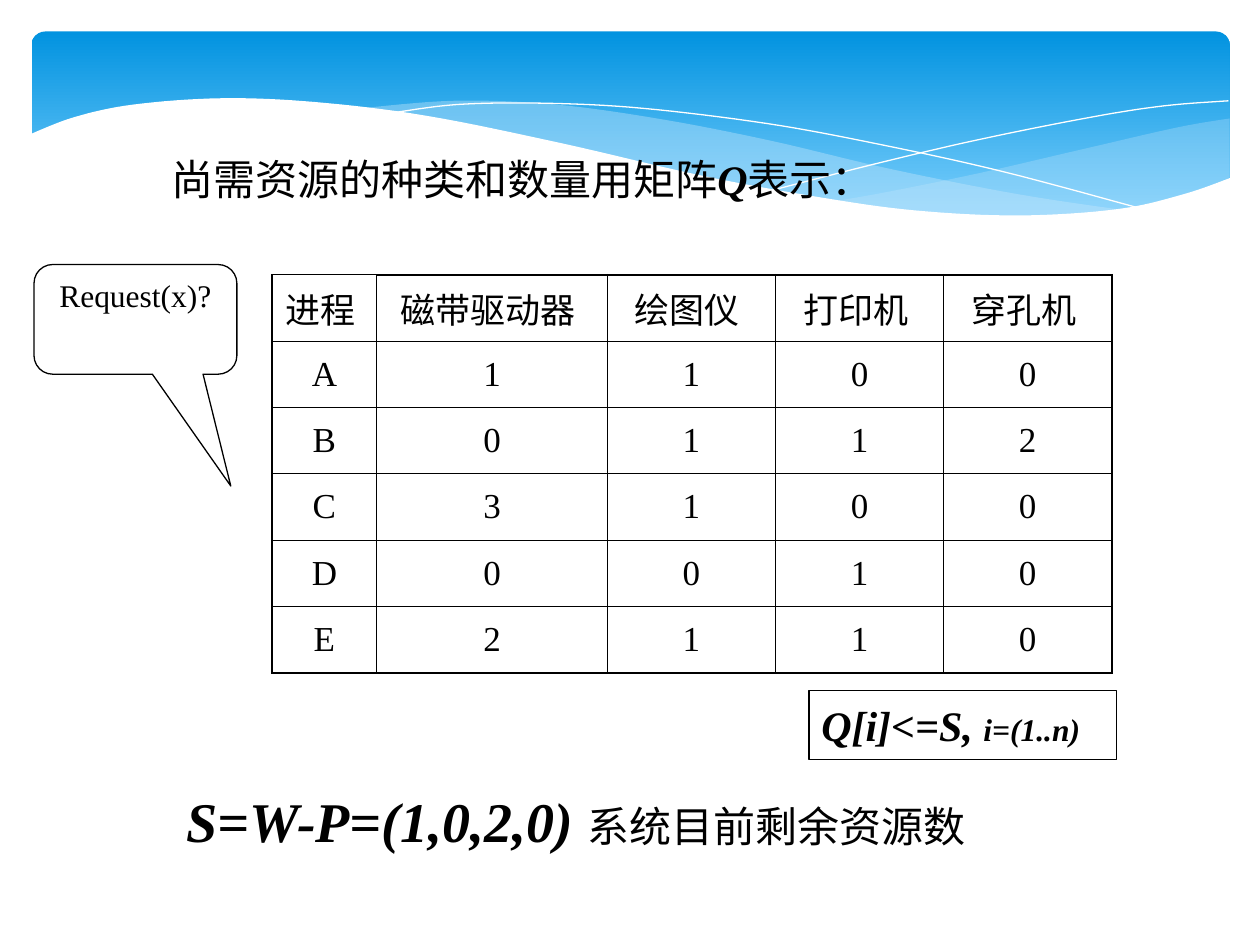
from pptx import Presentation
from pptx.dml.color import RGBColor
from pptx.enum.shapes import MSO_SHAPE
from pptx.enum.text import MSO_ANCHOR, PP_ALIGN
from pptx.oxml.ns import qn
from pptx.util import Inches, Pt
from lxml import etree

BLACK = RGBColor(0x00, 0x00, 0x00)
WHITE = RGBColor(0xFF, 0xFF, 0xFF)
SKY_TOP = RGBColor(0x02, 0x93, 0xE0)
SKY_BOTTOM = RGBColor(0x83, 0xD3, 0xFE)
MIST = RGBColor(0xC6, 0xE7, 0xFC)

ROUNDED, BOX = MSO_SHAPE.ROUNDED_RECTANGLE, MSO_SHAPE.RECTANGLE
CALLOUT = MSO_SHAPE.ROUNDED_RECTANGULAR_CALLOUT
TOP, MIDDLE = MSO_ANCHOR.TOP, MSO_ANCHOR.MIDDLE
LEFT, CENTER = PP_ALIGN.LEFT, PP_ALIGN.CENTER

# The slide is a grid of 100 columns by 75 rows
UNIT = Inches(0.1)
STRONG = {"bold": True, "italic": True}
THIN, THICK = Pt(0.45), Pt(1.08)
CURVE_STEPS = 8

HEADER = ["进程 ", "磁带驱动器 ", "绘图仪 ", "打印机 ", "穿孔机 "]
REMAINING_NEEDS = {
    "A": [1, 1, 0, 0],
    "B": [0, 1, 1, 2],
    "C": [3, 1, 0, 0],
    "D": [0, 0, 1, 0],
    "E": [2, 1, 1, 0],
}

# Wave edges as (column, row) knots
CREST = [(2.3, 10.7), (5.9, 9.3), (10.6, 8.3), (17.6, 7.8), (25, 8.1), (33.9, 9.2),
         (44.7, 11.4), (55.5, 13.9), (64.7, 15.6), (72.6, 16.7), (80.9, 17.1),
         (88.7, 16.6), (94, 15.4), (97.7, 14.1)]
CREST_BASE = [(97.7, 22.4), (2.3, 22.4)]
RIGHT_TOP = [(97.6, 9.4), (93.5, 10.1), (86.1, 11.8), (77.9, 13.7), (70.6, 15.2), (66.1, 16)]
RIGHT_BOTTOM = [(66.1, 16), (70.5, 16.5), (75.7, 17), (81.4, 17.2), (86.3, 17),
                (90.5, 16.3), (94.2, 15.4), (97.6, 14.1)]
MIDDLE_TOP = [(89.3, 16.7), (80.7, 15.4), (70.6, 13.4), (61.3, 11.2), (52.7, 9.5),
              (44.1, 8.3), (36.1, 8), (28.6, 8.6)]
MIDDLE_BOTTOM = [(28.6, 8.6), (36.2, 9.7), (44.9, 11.6), (56.6, 14.3), (65, 15.8),
                 (73.6, 16.9), (81.8, 17.3), (89.3, 16.7)]
FALLING_LINE = [(30.9, 9), (36.3, 8.3), (43.3, 8.2), (51, 8.6), (60.8, 9.8),
                (69.5, 11.4), (79.5, 13.6), (90.7, 16.6)]
RISING_LINE = [(61.3, 15.1), (69.5, 13), (77.6, 11.1), (86.6, 9.3), (92.4, 8.4), (97.5, 8)]


def smooth(knots):
    """Points of a Catmull-Rom curve through the knots; two knots stay a line."""
    if len(knots) == 2:
        return knots
    padded = [knots[0], *knots, knots[-1]]
    points = []
    for before, start, end, after in zip(padded, padded[1:], padded[2:], padded[3:]):
        for step in range(CURVE_STEPS):
            t = step / CURVE_STEPS
            points.append(tuple(
                b + ((c - a) * t + (2 * a - 5 * b + 4 * c - d) * t ** 2
                     + (3 * b - a - 3 * c + d) * t ** 3) / 2
                for a, b, c, d in zip(before, start, end, after)))
    return points + [knots[-1]]


class SlideMaker:
    def __init__(self, slide):
        self.slide = slide
        self.base_font = {"name": "Times New Roman", "size": Pt(24),
                          "bold": False, "italic": False}

    def grid(self, *lengths):
        return [round(length * UNIT) for length in lengths]

    def fill_text(self, frame, runs, align=LEFT, anchor=TOP):
        layout = {"word_wrap": True, "vertical_anchor": anchor,
                  "margin_left": UNIT, "margin_right": UNIT,
                  "margin_top": UNIT // 2, "margin_bottom": UNIT // 2}
        for name, value in layout.items():
            setattr(frame, name, value)
        paragraph = frame.paragraphs[0]
        paragraph.alignment = align
        for words, changes in runs:
            run = paragraph.add_run()
            run.text = words
            for name, value in {**self.base_font, **changes}.items():
                setattr(run.font, name, value)
            run.font.color.rgb = BLACK

    def title(self, place, runs):
        title = self.slide.shapes.title
        title.left, title.top, title.width, title.height = self.grid(*place)
        title.element.getparent().append(title.element)  # in front of the banner
        self.fill_text(title.text_frame, runs)

    def text(self, place, runs):
        box = self.slide.shapes.add_textbox(*self.grid(*place))
        self.fill_text(box.text_frame, runs)

    def shape(self, kind, place, adjustments=()):
        shape = self.slide.shapes.add_shape(kind, *self.grid(*place))
        shape.shadow.inherit = False
        for index, value in enumerate(adjustments):
            shape.adjustments[index] = value
        return shape

    def banner(self, place, corner):
        banner = self.shape(ROUNDED, place, [corner])
        banner.line.fill.background()
        banner.fill.gradient()
        banner.fill.gradient_angle = 270
        for stop, color in zip(banner.fill.gradient_stops, (SKY_TOP, SKY_BOTTOM)):
            stop.color.rgb = color

    def note(self, kind, place, runs, adjustments=(), **placing):
        note = self.shape(kind, place, adjustments)
        note.fill.background()
        note.line.color.rgb = BLACK
        note.line.width = Pt(0.75)
        self.fill_text(note.text_frame, runs, **placing)

    def wave(self, *edges, fill=None, opacity=100):
        start, *rest = [self.grid(*point) for edge in edges for point in smooth(edge)]
        builder = self.slide.shapes.build_freeform(*start)
        builder.add_line_segments(rest, close=fill is not None)
        wave = builder.convert_to_shape()
        wave.shadow.inherit = False
        if fill is None:
            wave.fill.background()
            wave.line.color.rgb = WHITE
            wave.line.width = 0
            return
        wave.line.fill.background()
        wave.fill.solid()
        wave.fill.fore_color.rgb = fill
        if opacity < 100:
            color = wave.element.spPr.find(qn("a:solidFill")).find(qn("a:srgbClr"))
            etree.SubElement(color, qn("a:alpha"), val=str(opacity * 1000))

    def border(self, cell, side, width):
        line = etree.SubElement(cell._tc.get_or_add_tcPr(), qn(f"a:ln{side}"), w=str(width))
        fill = etree.SubElement(line, qn("a:solidFill"))
        etree.SubElement(fill, qn("a:srgbClr"), val=str(BLACK))

    def table(self, left, top, widths, row_height, rows):
        place = self.grid(left, top, sum(widths), row_height * len(rows))
        table = self.slide.shapes.add_table(len(rows), len(widths), *place).table
        table.first_row = table.horz_banding = False
        for column, width in zip(table.columns, self.grid(*widths)):
            column.width = width
        for r, values in enumerate(rows):
            table.rows[r].height = self.grid(row_height)[0]
            for c, value in enumerate(values):
                cell = table.cell(r, c)
                outer = {"L": c == 0, "R": c == len(widths) - 1,
                         "T": r == 0 and c > 0, "B": r == len(rows) - 1}
                for side, is_outer in outer.items():
                    self.border(cell, side, THICK if is_outer else THIN)
                cell.fill.background()
                self.fill_text(cell.text_frame, [(str(value), {"size": Pt(20)})], CENTER)
                cell.vertical_anchor = MIDDLE


def main():
    deck = Presentation()
    deck.slide_width, deck.slide_height = 100 * UNIT, 75 * UNIT
    maker = SlideMaker(deck.slides.add_slide(deck.slide_layouts[5]))

    # Banner with waves
    maker.banner((2.5, 2.5, 95.1, 15.6), 0.07)
    maker.wave(RIGHT_TOP, RIGHT_BOTTOM, fill=MIST, opacity=29)
    maker.wave(MIDDLE_TOP, MIDDLE_BOTTOM, fill=MIST, opacity=40)
    maker.wave(FALLING_LINE)
    maker.wave(RISING_LINE)
    maker.wave(CREST, CREST_BASE, fill=WHITE)

    # Heading and matrix Q
    maker.title((12.6, 11.7, 60.1, 5),
                [("尚需资源的种类和数量用矩阵", {}), ("Q", STRONG), ("表示：", {})])
    rows = [HEADER] + [[process, *needs] for process, needs in REMAINING_NEEDS.items()]
    maker.table(21.6, 21.8, [8.3, 18.3, 13.35, 13.35, 13.35], 5.27, rows)

    # Remaining resources, safety condition and question
    maker.text((13.8, 61.9, 66.1, 6.4),
               [("S=W-P=(1,0,2,0) ", {**STRONG, "size": Pt(32)}), ("系统目前剩余资源数", {})])
    maker.note(BOX, (64.2, 54.8, 24.4, 5.5),
               [("Q[i]<=S, ", STRONG), ("i=(1..n)", {**STRONG, "size": Pt(18)})],
               anchor=MIDDLE)
    maker.note(CALLOUT, (2.7, 21, 16.1, 8.7), [("Request(x)?", {"size": Pt(18)})],
               adjustments=(0.47, 1.52, 0.17), align=CENTER)

    deck.save("out.pptx")


if __name__ == "__main__":
    main()
